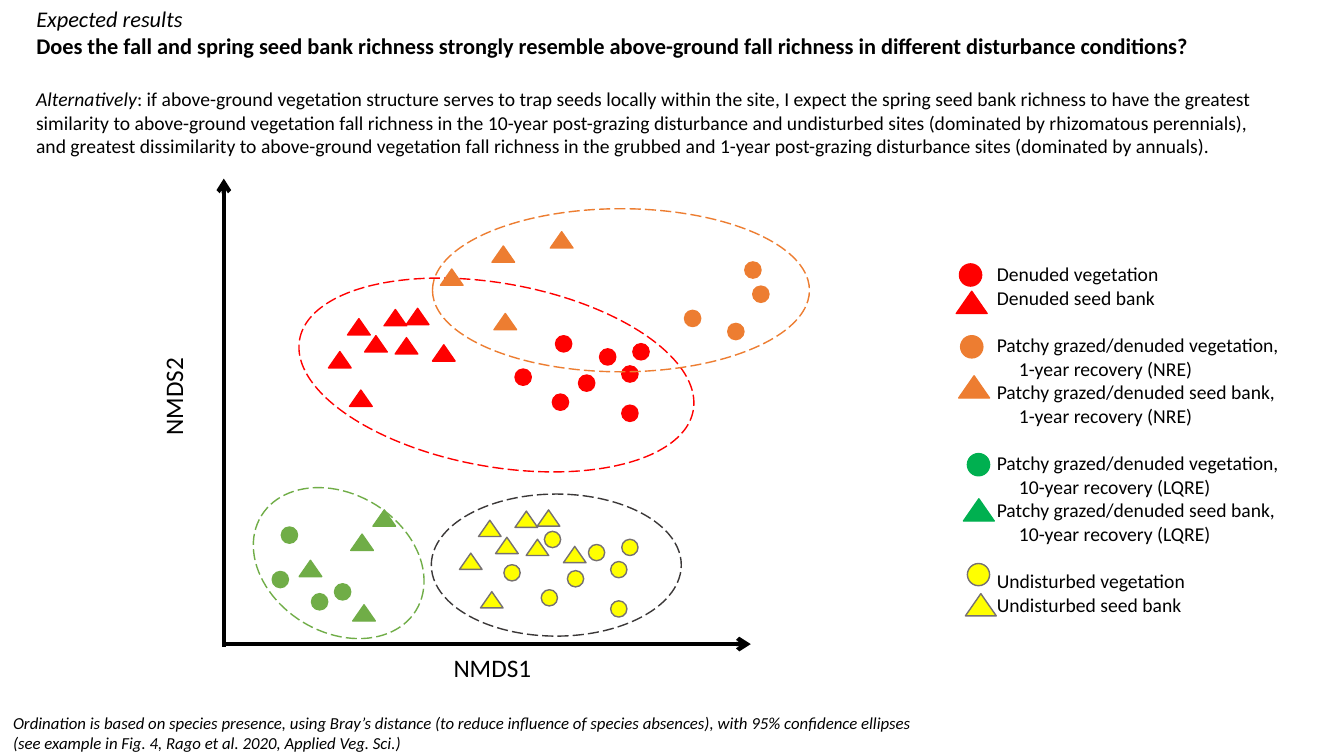
import pptx
import pptx.util
import pptx.dml.color
import pptx.enum.dml
import pptx.enum.shapes
import pptx.enum.text
import pptx.oxml
import pptx.oxml.ns

Cm, Pt = pptx.util.Cm, pptx.util.Pt
RGB = pptx.dml.color.RGBColor
KIND = pptx.enum.shapes.MSO_SHAPE
TEXT = pptx.enum.text

BLACK = RGB(0, 0, 0)
RED = RGB(255, 0, 0)
ORANGE = RGB(237, 125, 49)
GREEN = RGB(112, 173, 71)
DEEP = RGB(0, 176, 80)
YELLOW = RGB(255, 255, 0)
GREY = RGB(118, 113, 113)
DARK = RGB(59, 56, 56)


class Sheet:
    font = "Calibri"
    mark = 0.41      # height of a plotted point
    key = 0.56       # height of a legend symbol
    ratio = 1.39     # triangle width to height

    def __init__(self, slide):
        self.slide = slide
        self.shapes = slide.shapes

    def style(self, para, size, bold=False, italic=False):
        para.alignment = TEXT.PP_ALIGN.LEFT
        para.line_spacing = 1.0
        for run in para.runs:
            font = run.font
            font.name, font.size = self.font, Pt(size)
            font.bold, font.italic = bold, italic
            font.color.rgb = BLACK

    def fill_text(self, shape, text, size, wrap=False, italic=False):
        frame = shape.text_frame
        frame.text = text
        frame.word_wrap = wrap
        frame.auto_size = TEXT.MSO_AUTO_SIZE.NONE
        frame.vertical_anchor = TEXT.MSO_ANCHOR.TOP
        for para in frame.paragraphs:
            self.style(para, size, italic=italic)
        return frame.paragraphs

    def title(self, box, text, size):
        shape = self.shapes.title
        shape.left, shape.top, shape.width, shape.height = map(Cm, box)
        return self.fill_text(shape, text, size, wrap=True)

    def text(self, box, text, size, wrap=False, italic=False, turn=0):
        shape = self.shapes.add_textbox(*map(Cm, box))
        shape.rotation = turn
        return self.fill_text(shape, text, size, wrap, italic)

    def shape(self, kind, box, line, fill=None, turn=0):
        shape = self.shapes.add_shape(kind, *map(Cm, box))
        shape.shadow.inherit = False
        shape.rotation = turn
        shape.line.color.rgb = line
        shape.line.width = Pt(1)
        if fill is None:
            shape.fill.background()
        else:
            shape.fill.solid()
            shape.fill.fore_color.rgb = fill
        return shape

    def dot(self, spot, size, fill, line):
        self.shape(KIND.OVAL, (*spot, size, size), line, fill)

    def wedge(self, spot, size, fill, line):
        box = (*spot, size * self.ratio, size)
        self.shape(KIND.ISOSCELES_TRIANGLE, box, line, fill)

    def ring(self, box, line, turn=0):
        shape = self.shape(KIND.OVAL, box, line, turn=turn)
        shape.line.dash_style = pptx.enum.dml.MSO_LINE.LONG_DASH

    def axis(self, tip, base):
        line = self.shapes.add_connector(
            pptx.enum.shapes.MSO_CONNECTOR.STRAIGHT, *map(Cm, tip + base))
        line.line.color.rgb = BLACK
        line.line.width = Pt(3)
        space = pptx.oxml.ns.nsdecls("a")
        props = line.line._get_or_add_ln()
        props.append(pptx.oxml.parse_xml(f'<a:headEnd {space} type="arrow"/>'))
        props.getparent().append(
            pptx.oxml.parse_xml(f"<a:effectLst {space}/>"))


def shift(spots, right, down):
    return [(x + right, y + down) for x, y in spots]


deck = pptx.Presentation()
deck.slide_width, deck.slide_height = Cm(33.87), Cm(19.05)
sheet = Sheet(deck.slides.add_slide(deck.slide_layouts[5]))

# Title and prediction
heads = sheet.title(
    (0.66, 0, 31.83, 1.63),
    "Expected results\nDoes the fall and spring seed bank richness strongly "
    "resemble above-ground fall richness in different disturbance conditions?",
    16)
sheet.style(heads[0], 16, italic=True)
sheet.style(heads[1], 16, bold=True)

claim = sheet.text((0.66, 2.07, 31.83, 2.06), "Alternatively", 14, wrap=True)[0]
claim.add_run().text = (
    ": if above-ground vegetation structure serves to trap seeds locally "
    "within the site, I expect the spring seed bank richness to have the "
    "greatest similarity to above-ground vegetation fall richness in the "
    "10-year post-grazing disturbance and undisturbed sites (dominated by "
    "rhizomatous perennials), and greatest dissimilarity to above-ground "
    "vegetation fall richness in the grubbed and 1-year post-grazing "
    "disturbance sites (dominated by annuals).")
sheet.style(claim, 14)
claim.runs[0].font.italic = True

# Axes
sheet.axis((5.64, 4.5), (5.64, 16.31))
sheet.axis((18.92, 16.23), (5.69, 16.23))
sheet.text((11.18, 16.31, 2.49, 1.02), "NMDS1", 18)
sheet.text((3.12, 9.47, 2.49, 1.02), "NMDS2", 18, turn=270)

# Sites: vegetation dots, seed bank triangles, confidence ellipse
bare_dots = [(14, 8.46), (12.98, 9.3), (15.67, 9.22), (14.58, 9.45),
             (13.92, 9.93), (15.95, 8.66), (15.11, 8.79), (15.67, 10.21)]
bare_seeds = [(8.76, 8.03), (9.19, 8.46), (9.68, 7.8), (9.96, 8.51),
              (8.81, 9.83), (10.9, 8.69), (10.24, 7.77), (8.28, 8.86)]
sites = [
    (RED, RED, bare_dots, bare_seeds, (7.47, 7.14, 10.08, 4.62), RED, 10.2),
    (ORANGE, ORANGE,
     [(17.25, 7.82), (18.97, 7.21), (18.34, 8.15), (18.77, 6.6)],
     [(12.4, 6.2), (12.45, 7.9), (13.87, 5.84), (11.1, 6.78)],
     (10.9, 5.26, 9.5, 4.11), ORANGE, 0),
    (GREEN, GREEN,
     [(7.09, 13.28), (7.85, 14.96), (6.86, 14.4), (8.43, 14.71)],
     [(8.84, 13.46), (8.89, 15.24), (9.4, 12.85), (7.54, 14.12)],
     (6.25, 12.45, 4.57, 3.48), GREEN, 31.3),
    (YELLOW, GREY, shift(bare_dots, -0.28, 4.93),
     shift(bare_seeds, 3.3, 5.08), (10.87, 12.45, 6.3, 3.58), DARK, 0),
]
for fill, line, dots, seeds, ring, edge, turn in sites:
    for spot in dots:
        sheet.dot(spot, sheet.mark, fill, line)
    for spot in seeds:
        sheet.wedge(spot, sheet.mark, fill, line)
    sheet.ring(ring, edge, turn)

# Legend
keys = [
    (RED, RED, (24.18, 6.65), (24.1, 7.34), "Denuded", ""),
    (ORANGE, ORANGE, (24.21, 8.46), (24.16, 9.47),
     "Patchy grazed/denuded", "1-year recovery (NRE)"),
    (DEEP, DEEP, (24.38, 11.43), (24.28, 12.57),
     "Patchy grazed/denuded", "10-year recovery (LQRE)"),
    (YELLOW, GREY, (24.38, 14.2), (24.33, 14.96), "Undisturbed", ""),
]
rows = []    # text, starts a group, is indented
for fill, line, dot, wedge, name, age in keys:
    sheet.dot(dot, sheet.key, fill, line)
    sheet.wedge(wedge, sheet.key, fill, line)
    for part in ("vegetation", "seed bank"):
        comma = "," if age else ""
        first = part == "vegetation" and bool(rows)
        rows.append((f"{name} {part}{comma}", first, False))
        if age:
            rows.append((age, False, True))

paras = sheet.text((24.87, 6.48, 7.8, 9.25),
                   "\n".join(row[0] for row in rows), 14)
for para, (label, first, inset) in zip(paras, rows):
    if first:
        para.space_before = Pt(17.1)
    if inset:
        para._p.get_or_add_pPr().set("marL", str(Cm(0.56)))

# Footnote
sheet.text(
    (0.08, 17.83, 23.44, 1.27),
    "Ordination is based on species presence, using Bray’s distance (to "
    "reduce influence of species absences), with 95% confidence ellipses\n"
    "(see example in Fig. 4, Rago et al. 2020, Applied Veg. Sci.)",
    12, italic=True)

deck.save("out.pptx")
